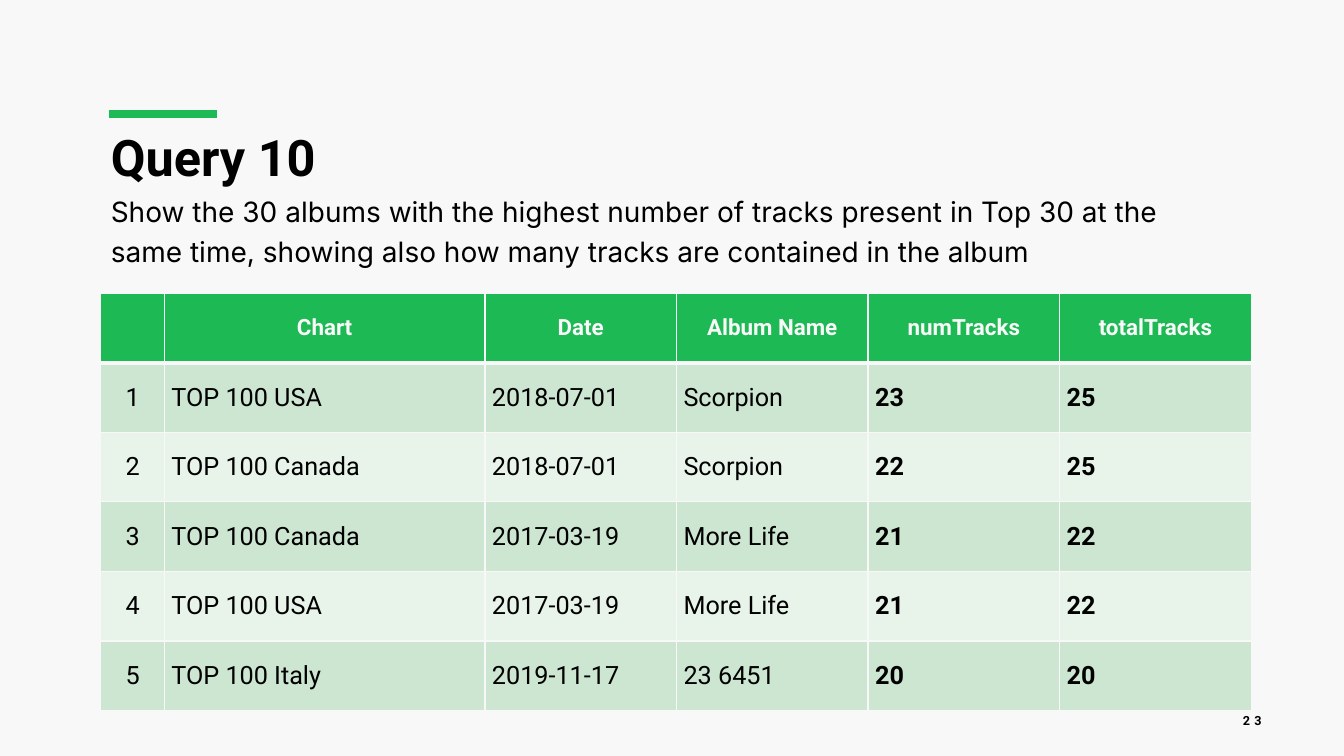
from dataclasses import dataclass

from lxml import etree
from pptx import Presentation
from pptx.dml.color import RGBColor
from pptx.enum.shapes import MSO_CONNECTOR
from pptx.enum.text import MSO_ANCHOR, PP_ALIGN
from pptx.oxml.ns import qn
from pptx.util import Inches, Pt

STRAIGHT = MSO_CONNECTOR.STRAIGHT
TOP, MIDDLE = MSO_ANCHOR.TOP, MSO_ANCHOR.MIDDLE
LEFT, CENTER, RIGHT = PP_ALIGN.LEFT, PP_ALIGN.CENTER, PP_ALIGN.RIGHT
TITLE_ONLY = 5


@dataclass(frozen=True)
class Theme:
    background: str = "F8F8F8"
    accent: str = "1DB954"
    ink: str = "000000"
    bands: tuple = ("CDE6D1", "E8F3E9")
    heading_font: str = "Roboto"
    body_font: str = "Inter"
    title_size: int = 36
    body_size: int = 20
    header_size: int = 16
    cell_size: int = 18
    number_size: int = 9


class SlideBuilder:
    def __init__(self, prs, theme):
        self.theme = theme
        self.slide = prs.slides.add_slide(prs.slide_layouts[TITLE_ONLY])
        background = self.slide.background.fill
        background.solid()
        background.fore_color.rgb = RGBColor.from_string(theme.background)

    def set_text(self, frame, text, size, bold=False, color=None, font=None, align=LEFT):
        """Fill a text frame with one formatted paragraph and return it."""
        frame.text = text
        paragraph = frame.paragraphs[0]
        paragraph.alignment = align
        for run in paragraph.runs:
            run.font.size = Pt(size)
            run.font.bold = bold
            run.font.name = font or self.theme.heading_font
            run.font.color.rgb = RGBColor.from_string(color or self.theme.ink)
        return paragraph

    def accent_line(self, left, right, y, weight):
        line = self.slide.shapes.add_connector(
            STRAIGHT, Inches(left), Inches(y), Inches(right), Inches(y))
        line.line.color.rgb = RGBColor.from_string(self.theme.accent)
        line.line.width = Pt(weight)
        etree.SubElement(line._element.spPr, qn("a:effectLst"))

    def title(self, text, left, top, width, height):
        title = self.slide.shapes.title
        title.left, title.top = Inches(left), Inches(top)
        title.width, title.height = Inches(width), Inches(height)
        title.text_frame.vertical_anchor = MIDDLE
        paragraph = self.set_text(title.text_frame, text, self.theme.title_size, bold=True)
        paragraph.line_spacing = 0.9

    def text(self, text, left, top, width, height, size, anchor=TOP, **style):
        box = self.slide.shapes.add_textbox(
            Inches(left), Inches(top), Inches(width), Inches(height))
        box.text_frame.word_wrap = True
        box.text_frame.vertical_anchor = anchor
        return self.set_text(box.text_frame, text, size, **style)

    def cell_borders(self, cell, bottom):
        properties = cell._tc.get_or_add_tcPr()
        for side, weight in (("L", 1), ("R", 1), ("T", 1), ("B", bottom)):
            border = etree.SubElement(properties, qn(f"a:ln{side}"), w=str(Pt(weight)))
            fill = etree.SubElement(border, qn("a:solidFill"))
            etree.SubElement(fill, qn("a:srgbClr"), val=self.theme.background)

    def cell(self, cell, fill, text, size, bottom=1, **style):
        self.cell_borders(cell, bottom)
        cell.fill.solid()
        cell.fill.fore_color.rgb = RGBColor.from_string(fill)
        cell.vertical_anchor = MIDDLE
        self.set_text(cell.text_frame, text, size, **style)

    def table(self, header, records, left, top, widths, row_height):
        theme = self.theme
        rows = len(records) + 1
        table = self.slide.shapes.add_table(
            rows, len(header), Inches(left), Inches(top),
            Inches(sum(widths)), Inches(row_height * rows)).table
        for column, width in zip(table.columns, widths):
            column.width = Inches(width)
        for row in table.rows:
            row.height = Inches(row_height)

        for col, label in enumerate(header):
            self.cell(table.cell(0, col), theme.accent, label, theme.header_size,
                      bottom=3, bold=True, color=theme.background, align=CENTER)
        for rank, record in enumerate(records, start=1):
            band = theme.bands[(rank - 1) % 2]
            for col, value in enumerate((str(rank), *record)):
                cell = table.cell(rank, col)
                cell.margin_left = cell.margin_right = Inches(0.07)
                cell.margin_top = cell.margin_bottom = Inches(0.03)
                self.cell(cell, band, value, theme.cell_size,
                          bold=header[col].endswith("Tracks"),
                          align=CENTER if col == 0 else LEFT)


HEADER = ("", "Chart", "Date", "Album Name", "numTracks", "totalTracks")
ALBUMS = (
    ("TOP 100 USA", "2018-07-01", "Scorpion", "23", "25"),
    ("TOP 100 Canada", "2018-07-01", "Scorpion", "22", "25"),
    ("TOP 100 Canada", "2017-03-19", "More Life", "21", "22"),
    ("TOP 100 USA", "2017-03-19", "More Life", "21", "22"),
    ("TOP 100 Italy", "2019-11-17", "23 6451", "20", "20"),
)


def main():
    prs = Presentation()
    prs.slide_width, prs.slide_height = Inches(13.33), Inches(7.5)
    theme = Theme()
    builder = SlideBuilder(prs, theme)

    # Heading
    builder.accent_line(1.08, 2.15, 1.13, 6)
    builder.title("Query 10", 1, 1.18, 5.67, 0.82)

    # Query description
    description = builder.text(
        "Show the 30 albums with the highest number of tracks present in Top 30 at the "
        "same time, showing also how many tracks are contained in the album",
        1, 1.81, 11.05, 0.47, theme.body_size, font=theme.body_font)
    description.line_spacing = 1.2
    description.space_before = Pt(10)

    # Query result
    builder.table(HEADER, ALBUMS, 1, 2.91, [0.63, 3.18] + [1.9] * 4, 0.69)

    # Slide number
    number = builder.text("23", 11.82, 6.95, 0.79, 0.4, theme.number_size,
                          anchor=MIDDLE, bold=True, align=RIGHT)
    number.runs[0].font._element.set("spc", "300")

    prs.save("out.pptx")


if __name__ == "__main__":
    main()
